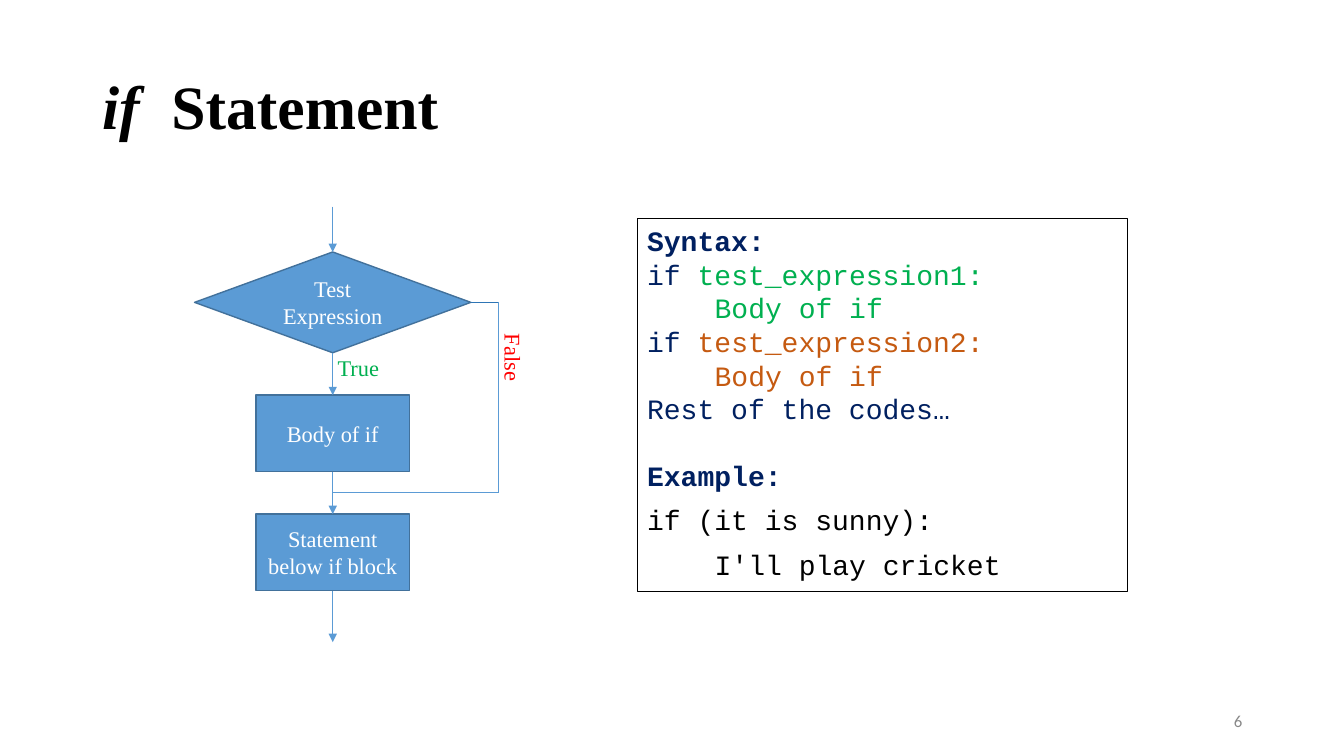
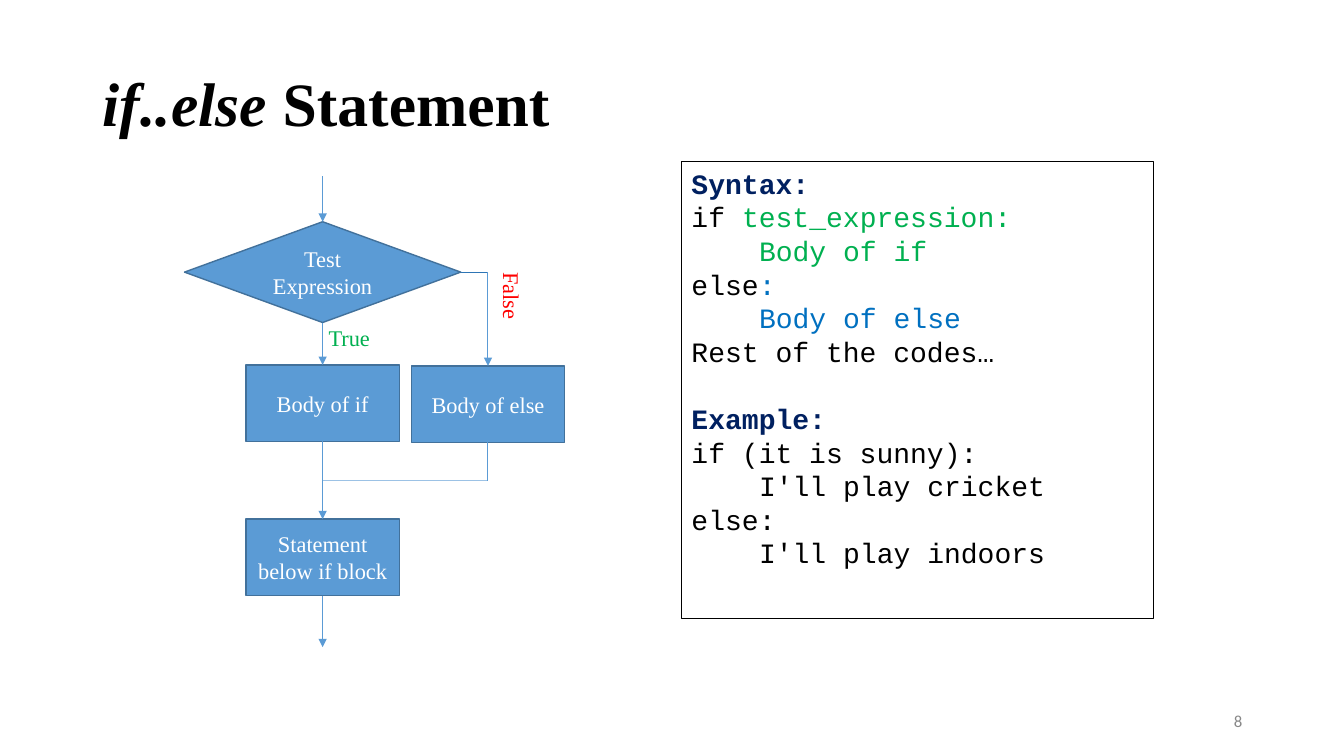
from dataclasses import dataclass
from typing import NamedTuple, Optional, Union

from lxml import etree
from pptx import Presentation
from pptx import util as u
from pptx.dml.color import RGBColor
from pptx.enum import shapes, text
from pptx.oxml.ns import qn

PX = 9144


@dataclass(frozen=True)
class Theme:
    black: str = "000000"
    white: str = "FFFFFF"
    grey: str = "888888"
    navy: str = "002060"
    green: str = "00B050"
    orange: str = "C55A11"
    blue: str = "0070C0"
    red: str = "FF0000"
    node_fill: str = "5B9BD5"
    node_line: str = "42719B"
    flow: str = "5B9BD5"
    flow_dark: str = "2E75B5"
    flow_pale: str = "9CC2E5"
    serif: str = "Times New Roman"
    mono: str = "Courier New"
    sans: str = "Calibri"
    title_size: int = 44
    code_size: int = 20
    node_size: int = 16
    number_size: int = 12
    thin: float = 0.75
    medium: float = 1


THEME = Theme()
LEFT, CENTER, RIGHT = text.PP_ALIGN.LEFT, text.PP_ALIGN.CENTER, text.PP_ALIGN.RIGHT
TOP_ANCHOR, MIDDLE = text.MSO_ANCHOR.TOP, text.MSO_ANCHOR.MIDDLE
DIAMOND, RECT = shapes.MSO_SHAPE.DIAMOND, shapes.MSO_SHAPE.RECTANGLE
TOP, BOTTOM, SIDE = 0, 2, 3
INDENT = 67
BLANK_LINE = 24


class Box(NamedTuple):
    left: int
    top: int
    width: int
    height: int


class Point(NamedTuple):
    x: int
    y: int


class Port(NamedTuple):
    node: str
    site: int


class Span(NamedTuple):
    words: str
    color: str = THEME.black
    bold: bool = False
    italic: bool = False
    tracking: int = 0


class Line(NamedTuple):
    spans: list[Span]
    indent: int = 0
    before: int = 0
    spacing: float = 1.0


class Node(NamedTuple):
    name: str
    label: str
    box: Box
    kind: shapes.MSO_SHAPE = RECT


class Edge(NamedTuple):
    start: Union[Point, Port]
    end: Union[Point, Port]
    arrow: bool = True
    color: str = THEME.flow
    weight: float = THEME.thin


class Label(NamedTuple):
    words: str
    box: Box
    color: str
    rotation: int = 0


@dataclass(frozen=True)
class Lesson:
    number: str
    title: list[Span]
    title_top: int
    code_box: Box
    code: list[Line]
    nodes: list[Node]
    edges: list[Edge]
    labels: list[Label]


def scaled(values: tuple) -> list[int]:
    return [value * PX for value in values]


def write(frame, lines: list[Line], *, font: str, size: int,
          align=LEFT, anchor=TOP_ANCHOR) -> None:
    frame.word_wrap = True
    frame.auto_size = text.MSO_AUTO_SIZE.NONE
    frame.vertical_anchor = anchor
    for index, line in enumerate(lines):
        para = frame.add_paragraph() if index else frame.paragraphs[0]
        para.alignment = align
        para.line_spacing = line.spacing
        para.space_before = u.Pt(line.before)
        if line.indent:
            para._p.get_or_add_pPr().set("marL", str(line.indent * PX))
        for item in line.spans:
            span = para.add_run()
            span.text = item.words
            span.font.name, span.font.size = font, u.Pt(size)
            span.font.bold, span.font.italic = item.bold, item.italic
            span.font.color.rgb = RGBColor.from_string(item.color)
            if item.tracking:
                span._r.get_or_add_rPr().set("spc", str(item.tracking * 100))


def add_box(page, kind, box: Box, *, line: str, weight: float, fill: Optional[str] = None):
    shape = page.shapes.add_shape(kind, *scaled(box))
    shape.shadow.inherit = False
    if fill:
        shape.fill.solid()
        shape.fill.fore_color.rgb = RGBColor.from_string(fill)
    else:
        shape.fill.background()
    shape.line.color.rgb = RGBColor.from_string(line)
    shape.line.width = u.Pt(weight)
    return shape


def add_node(page, node: Node):
    shape = add_box(page, node.kind, node.box, line=THEME.node_line,
                    weight=THEME.medium, fill=THEME.node_fill)
    write(shape.text_frame, [Line([Span(node.label, THEME.white)])],
          font=THEME.serif, size=THEME.node_size, align=CENTER, anchor=MIDDLE)
    return shape


def add_edge(page, edge: Edge, drawn: dict) -> None:
    ends = [end if isinstance(end, Point) else Point(0, 0) for end in (edge.start, edge.end)]
    link = page.shapes.add_connector(shapes.MSO_CONNECTOR.STRAIGHT,
                                     *scaled(ends[0]), *scaled(ends[1]))
    for end, connect in ((edge.start, link.begin_connect), (edge.end, link.end_connect)):
        if isinstance(end, Port):
            connect(drawn[end.node], end.site)
    link.line.color.rgb = RGBColor.from_string(edge.color)
    link.line.width = u.Pt(edge.weight)
    if edge.arrow:
        etree.SubElement(link.line._get_or_add_ln(), qn("a:tailEnd"), type="triangle")
    etree.SubElement(link._element.spPr, qn("a:effectLst"))


def add_label(page, label: Label) -> None:
    box = page.shapes.add_textbox(*scaled(label.box))
    box.rotation = label.rotation
    write(box.text_frame, [Line([Span(label.words, label.color)])],
          font=THEME.serif, size=THEME.node_size)


def add_lesson(deck, lesson: Lesson) -> None:
    page = deck.slides.add_slide(deck.slide_layouts.get_by_name("Title Only"))
    title = page.shapes.title
    title.left, title.top, title.width, title.height = scaled(
        Box(92, lesson.title_top, 1150, 145))
    write(title.text_frame, [Line(lesson.title, spacing=0.9)],
          font=THEME.serif, size=THEME.title_size, anchor=MIDDLE)
    panel = add_box(page, RECT, lesson.code_box, line=THEME.black, weight=THEME.thin)
    write(panel.text_frame, lesson.code, font=THEME.mono, size=THEME.code_size)
    drawn = {node.name: add_node(page, node) for node in lesson.nodes}
    for edge in lesson.edges:
        add_edge(page, edge, drawn)
    for label in lesson.labels:
        add_label(page, label)
    number = page.shapes.add_textbox(*scaled(Box(942, 695, 300, 40)))
    write(number.text_frame, [Line([Span(lesson.number, THEME.grey)])],
          font=THEME.sans, size=THEME.number_size, align=RIGHT, anchor=MIDDLE)


def heading(words: str, before: int = 0) -> Line:
    return Line([Span(words, THEME.navy, bold=True)], before=before)


def code(*parts: tuple[str, str], indent: int = 0, before: int = 0,
         spacing: float = 1.0) -> Line:
    return Line([Span(*part) for part in parts], indent, before, spacing)


def flow_nodes(axis: int, test_top: int, body_top: int, rest_top: int) -> list[Node]:
    left = axis - 76
    return [
        Node("test", "Test Expression", Box(axis - 137, test_top, 274, 100), DIAMOND),
        Node("body", "Body of if", Box(left, body_top, 152, 76)),
        Node("rest", "Statement below if block", Box(left, rest_top, 152, 76)),
    ]


def flow_edges(axis: int, entry: int, leave: int) -> list[Edge]:
    return [
        Edge(Point(axis, entry), Port("test", TOP)),
        Edge(Port("test", BOTTOM), Port("body", TOP)),
        Edge(Port("body", BOTTOM), Port("rest", TOP)),
        Edge(Port("rest", BOTTOM), Point(axis, leave)),
    ]


T = THEME
IF_LESSON = Lesson(
    number="6",
    title=[Span("if", bold=True, italic=True), Span(" ", bold=True, tracking=11),
           Span("Statement", bold=True)],
    title_top=36,
    code_box=Box(632, 217, 486, 370),
    code=[
        heading("Syntax:"),
        code(("if ", T.navy), ("test_expression1:", T.green)),
        code(("Body of if", T.green), indent=INDENT),
        code(("if ", T.navy), ("test_expression2:", T.orange)),
        code(("Body of if", T.orange), indent=INDENT),
        code(("Rest of the codes…", T.navy)),
        heading("Example:", before=BLANK_LINE),
        code(("if (it is sunny):", T.black), before=10, spacing=0.9),
        code(("I'll play cricket", T.black), indent=INDENT, before=10, spacing=0.9),
    ],
    nodes=flow_nodes(330, 250, 392, 510),
    edges=flow_edges(330, 205, 637) + [
        Edge(Port("test", SIDE), Point(494, 300), False, T.flow_dark),
        Edge(Point(494, 300), Point(494, 489), False),
        Edge(Point(494, 489), Point(330, 489), False),
    ],
    labels=[Label("False", Box(474, 338, 70, 37), T.red, 90),
            Label("True", Box(325, 346, 97, 37), T.green)],
)
IF_ELSE_LESSON = Lesson(
    number="8",
    title=[Span("if..else ", bold=True, italic=True), Span("Statement", bold=True)],
    title_top=33,
    code_box=Box(676, 160, 468, 454),
    code=[
        heading("Syntax:"),
        code(("if ", T.black), ("test_expression:", T.green)),
        code(("Body of if", T.green), indent=INDENT),
        code(("else", T.black), (":", T.blue)),
        code(("Body of else", T.blue), indent=INDENT),
        code(("Rest of the codes…", T.black)),
        heading("Example:", before=BLANK_LINE),
        code(("if (it is sunny):", T.black)),
        code(("I'll play cricket", T.black), indent=INDENT),
        code(("else:", T.black)),
        code(("I'll play indoors", T.black), indent=INDENT),
    ],
    nodes=flow_nodes(320, 220, 362, 515) + [
        Node("else", "Body of else", Box(408, 363, 152, 76)),
    ],
    edges=flow_edges(320, 175, 642) + [
        Edge(Port("test", SIDE), Point(484, 270), False, T.flow_dark),
        Edge(Point(484, 270), Port("else", TOP)),
        Edge(Point(320, 477), Point(484, 477), False, T.flow_pale, T.medium),
        Edge(Port("else", BOTTOM), Point(484, 477), False),
    ],
    labels=[Label("False", Box(470, 279, 75, 37), T.red, 90),
            Label("True", Box(316, 317, 62, 37), T.green)],
)


def main() -> None:
    deck = Presentation()
    deck.slide_width, deck.slide_height = u.Inches(13.33), u.Inches(7.5)
    for lesson in (IF_LESSON, IF_ELSE_LESSON):
        add_lesson(deck, lesson)
    deck.save("out.pptx")


if __name__ == "__main__":
    main()
